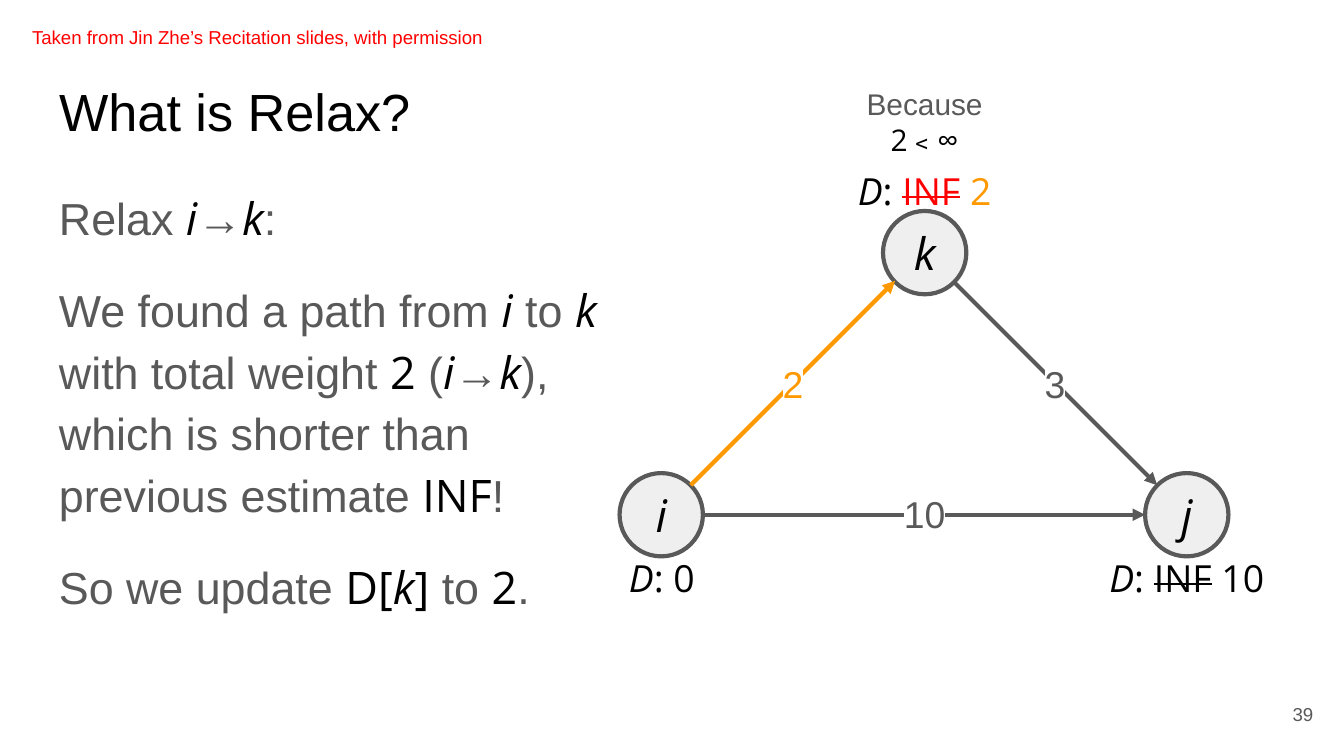
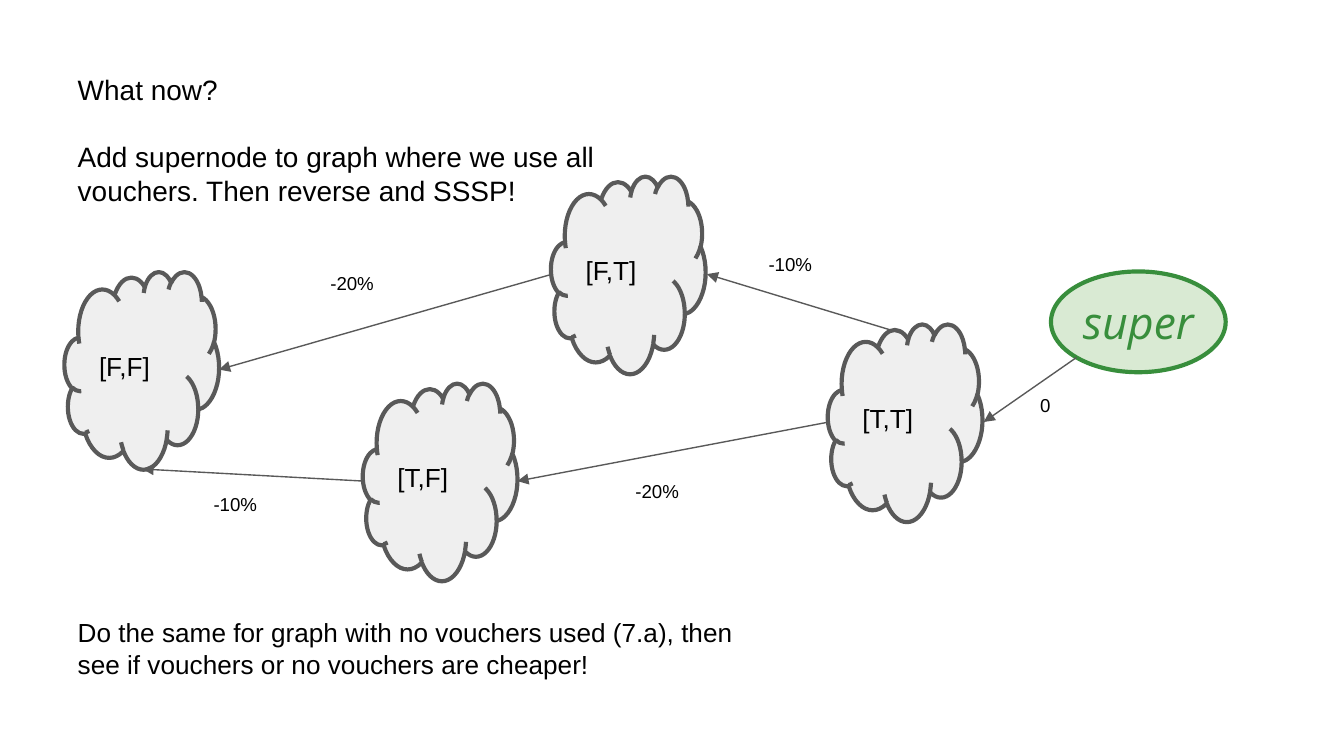
from lxml.etree import SubElement
from pptx import Presentation
from pptx.dml.color import RGBColor
from pptx.enum.shapes import MSO_CONNECTOR, MSO_SHAPE
from pptx.enum.text import MSO_ANCHOR, MSO_AUTO_SIZE, PP_ALIGN
from pptx.oxml.ns import qn
from pptx.util import Pt

PX = 9144
BLACK = RGBColor(0x00, 0x00, 0x00)
GRAY = RGBColor(0x59, 0x59, 0x59)
RED = RGBColor(0xFF, 0x00, 0x00)
ORANGE = RGBColor(0xFF, 0x99, 0x00)
GREEN = RGBColor(0x38, 0x8E, 0x3C)
PALE_GREEN = RGBColor(0xD9, 0xEA, 0xD3)
PALE_GRAY = RGBColor(0xEF, 0xEF, 0xEF)
WHITE = RGBColor(0xFF, 0xFF, 0xFF)

LEFT, CENTER, RIGHT = PP_ALIGN.LEFT, PP_ALIGN.CENTER, PP_ALIGN.RIGHT
TOP, MIDDLE = MSO_ANCHOR.TOP, MSO_ANCHOR.MIDDLE
FIXED, GROW = MSO_AUTO_SIZE.NONE, MSO_AUTO_SIZE.SHAPE_TO_FIT_TEXT

PLAIN = {"name": "Arial", "color": BLACK}
PROSE = PLAIN | {"color": GRAY}
NOTICE = PLAIN | {"color": RED}
MATH = {"name": "Open Sans", "color": BLACK}
VARIABLE = MATH | {"italic": True}
UPDATED = MATH | {"color": ORANGE}
STRUCK = MATH | {"strike": True}
STRUCK_RED = STRUCK | {"color": RED}
SUPER = VARIABLE | {"color": GREEN}
WEIGHT = PROSE | {"highlight": WHITE}
NEW_WEIGHT = WEIGHT | {"color": ORANGE}


def write(frame, paragraphs, size, align=LEFT, anchor=TOP, margin=10, gap=0, spacing=1.0, fit=FIXED):
    layout = {"word_wrap": True, "auto_size": fit, "vertical_anchor": anchor}
    layout |= {f"margin_{side}": margin * PX for side in ("left", "top", "right", "bottom")}
    for key, value in layout.items():
        setattr(frame, key, value)
    for index, runs in enumerate(paragraphs):
        paragraph = frame.add_paragraph() if index else frame.paragraphs[0]
        form = {"alignment": align, "line_spacing": spacing, "space_before": Pt(gap if index else 0)}
        for key, value in form.items():
            setattr(paragraph, key, value)
        for text, style in runs:
            run = paragraph.add_run()
            run.text = text
            run.font.color.rgb = style["color"]
            for key, value in {"name": style["name"], "size": Pt(size), "italic": style.get("italic", False)}.items():
                setattr(run.font, key, value)
            properties = run._r.get_or_add_rPr()
            if "strike" in style:
                properties.set("strike", "sngStrike")
            if "highlight" in style:
                highlight = SubElement(properties, qn("a:highlight"))
                SubElement(highlight, qn("a:srgbClr")).set("val", str(style["highlight"]))
                properties.find(qn("a:solidFill")).addnext(highlight)


def add_edge(slide, ends, color, width):
    edge = slide.shapes.add_connector(MSO_CONNECTOR.STRAIGHT, *[end * PX for end in ends])
    edge.line.color.rgb = color
    edge.line.width = Pt(width)
    SubElement(edge.line._get_or_add_ln(), qn("a:tailEnd")).set("type", "triangle")
    SubElement(edge._element.spPr, qn("a:effectLst"))


deck = Presentation()
deck.slide_width = 1000 * PX
deck.slide_height = deck.slide_width * 9 // 16
relax = deck.slides.add_slide(deck.slide_layouts[5])
vouchers = deck.slides.add_slide(deck.slide_layouts[6])

title = relax.shapes.title
title.left, title.top, title.width, title.height = [n * PX for n in (34, 49, 932, 63)]
write(title.text_frame, [[("What is Relax?", PLAIN)]], 28)

for left, top, name in ((461, 352, "i"), (852, 352, "j"), (657, 157, "k")):
    vertex = relax.shapes.add_shape(MSO_SHAPE.OVAL, *[n * PX for n in (left, top, 62, 62)])
    write(vertex.text_frame, [[(name, VARIABLE)]], 24, CENTER, MIDDLE, 0)

for left, top, name in ((48, 202, "[F,F]"), (270, 285, "[T,F]"), (410, 131, "[F,T]"), (616, 241, "[T,T]")):
    state = vouchers.shapes.add_shape(MSO_SHAPE.CLOUD, *[n * PX for n in (left, top, 115, 147)])
    write(state.text_frame, [[(name, PLAIN)]], 14, LEFT, MIDDLE)

supernode = vouchers.shapes.add_shape(MSO_SHAPE.OVAL, *[n * PX for n in (782, 202, 130, 75)])
write(supernode.text_frame, [[("super", SUPER)]], 24, CENTER, MIDDLE, 0)

for slide in (relax, vouchers):
    for node in slide.shapes:
        if node.is_placeholder:
            continue
        special = node.text_frame.text == "super"
        node.shadow.inherit = False
        node.fill.solid()
        node.fill.fore_color.rgb = PALE_GREEN if special else PALE_GRAY
        node.line.color.rgb = GREEN if special else GRAY
        node.line.width = Pt(2.25)

for ends, color in (
    ((523, 383, 852, 383), GRAY),
    ((514, 361, 666, 209), ORANGE),
    ((709, 209, 861, 361), GRAY),
):
    add_edge(relax, ends, color, 2.25)

for ends in (
    (801, 266, 732, 314),
    (674, 249, 526, 204),
    (617, 314, 385, 358),
    (411, 204, 163, 275),
    (271, 358, 106, 349),
):
    add_edge(vouchers, ends, GRAY, 0.75)

explanation = [
    [("Relax ", PROSE), ("i", VARIABLE), ("→", PROSE), ("k", VARIABLE), (":", PROSE)],
    [
        ("We found a path from ", PROSE), ("i", VARIABLE), (" to ", PROSE), ("k", VARIABLE),
        (" with total weight ", PROSE), ("2", MATH), (" (", PROSE), ("i", VARIABLE),
        ("→", PROSE), ("k", VARIABLE), ("), which is shorter than previous estimate ", PROSE),
        ("INF", MATH), ("!", PROSE),
    ],
    [
        ("So we update ", PROSE), ("D[", MATH), ("k", VARIABLE), ("]", MATH),
        (" to ", PROSE), ("2", MATH), (".", PROSE),
    ],
]
distance = [("D", VARIABLE), (": ", MATH)]
instructions = [
    [("What now?", PLAIN)],
    [("Add supernode to graph where we use all vouchers. Then reverse and SSSP!", PLAIN)],
]
closing = "Do the same for graph with no vouchers used (7.a), then see if vouchers or no vouchers are cheaper!"
credit = "Taken from Jin Zhe’s Recitation slides, with permission"
centered = {"align": CENTER, "anchor": MIDDLE}

texts = [
    (relax, (34, 126, 435, 374), explanation, 24, {"gap": 16, "spacing": 1.15}),
    (relax, (927, 510, 60, 43), [[("39", PROSE)]], 10, {"align": RIGHT, "anchor": MIDDLE}),
    (relax, (559, 254, 62, 63), [[("2", NEW_WEIGHT)]], 20, centered),
    (relax, (754, 254, 62, 63), [[("3", WEIGHT)]], 20, centered),
    (relax, (658, 351, 60, 63), [[("10", WEIGHT)]], 20, centered),
    (relax, (432, 414, 121, 31), [distance + [("0", MATH)]], 20, centered),
    (relax, (620, 126, 136, 31), [distance + [("INF", STRUCK_RED), (" ", MATH), ("2", UPDATED)]], 20, centered),
    (relax, (807, 414, 152, 31), [distance + [("INF", STRUCK), (" 10", MATH)]], 20, centered),
    (relax, (613, 54, 150, 72), [[("Because", PROSE)], [("2﹤∞", MATH)]], 16, {"align": CENTER}),
    (relax, (14, 9, 427, 45), [[(credit, NOTICE)]], 10, {}),
    (vouchers, (48, 44, 452, 121), instructions, 15, {"gap": 18, "fit": GROW}),
    (vouchers, (48, 449, 538, 67), [[(closing, PLAIN)]], 14, {"fit": GROW}),
]
for left, top, width, cost in (
    (149, 358, 58, "-10%"),
    (562, 180, 76, "-10%"),
    (236, 194, 76, "-20%"),
    (463, 349, 76, "-20%"),
    (764, 285, 46, "0"),
):
    texts.append((vouchers, (left, top, width, 37), [[(cost, PLAIN)]], 10, {"fit": GROW}))

for slide, box, paragraphs, size, form in texts:
    write(slide.shapes.add_textbox(*[n * PX for n in box]).text_frame, paragraphs, size, **form)

deck.save("out.pptx")
